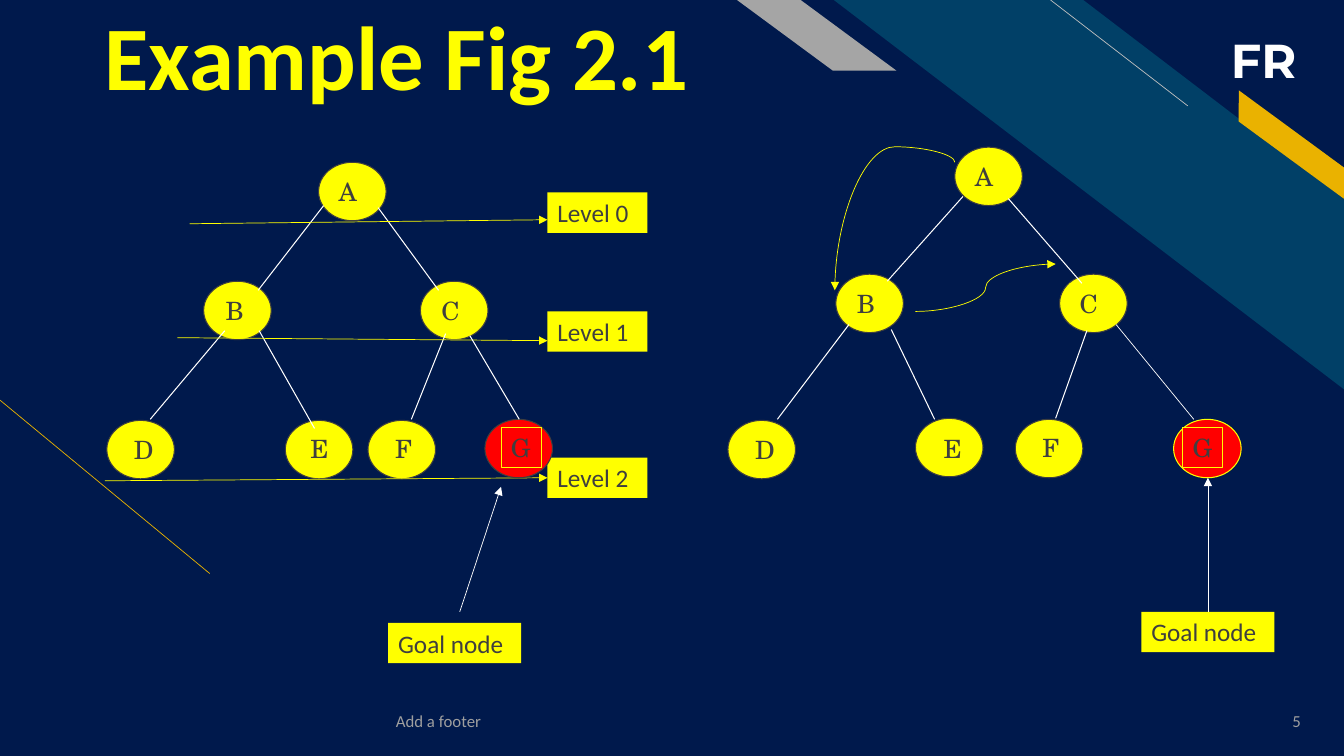
"""Build the slide comparing two search trees with their levels and goal nodes."""
from dataclasses import dataclass

from lxml import etree
from pptx import Presentation
from pptx.dml.color import RGBColor
from pptx.enum.shapes import MSO_CONNECTOR as CONN, MSO_SHAPE as SHAPE
from pptx.enum.text import MSO_ANCHOR as ANCHOR, MSO_AUTO_SIZE as AUTO, PP_ALIGN as ALIGN
from pptx.oxml.ns import qn
from pptx.util import Inches, Pt

NAVY = RGBColor(0x00, 0x19, 0x4C)
TEAL = RGBColor(0x01, 0x40, 0x67)
GOLD = RGBColor(0xEA, 0xB2, 0x00)
SILVER = RGBColor(0xA5, 0xA5, 0xA5)
PALE = RGBColor(0xBF, 0xBF, 0xBF)
MUTED = RGBColor(0x9F, 0x9F, 0x9F)
WHITE = RGBColor(0xFF, 0xFF, 0xFF)
YELLOW = RGBColor(0xFF, 0xFF, 0x00)
RED = RGBColor(0xFF, 0x00, 0x00)
INK = RGBColor(0x3F, 0x3F, 0x3F)
SERIF = "TeX Gyre Schola"
SANS = "Calibri"


@dataclass
class Node:
    letter: str
    x: float
    y: float
    label_x: float
    label_y: float
    label_w: float = 0.38


@dataclass
class Goal(Node):
    label_w: float = 0.4
    outline: RGBColor = YELLOW


@dataclass
class Line:
    x1: float
    y1: float
    x2: float
    y2: float
    color: RGBColor = WHITE
    width: float = 0.75
    arrow: bool = False


@dataclass
class Tag:
    text: str
    x: float
    y: float
    w: float


NODES = [
    Node("A", 3.16, 1.61, 3.26, 1.7), Node("B", 2.02, 2.79, 2.14, 2.88),
    Node("C", 4.17, 2.79, 4.28, 2.88), Node("E", 2.83, 4.17, 2.98, 4.25),
    Node("D", 1.06, 4.17, 1.23, 4.26, 0.4), Node("F", 3.65, 4.17, 3.82, 4.25, 0.37),
    Node("A", 9.47, 1.46, 9.57, 1.55), Node("B", 8.29, 2.72, 8.4, 2.81),
    Node("C", 10.51, 2.72, 10.61, 2.81), Node("E", 9.08, 4.15, 9.26, 4.25),
    Node("D", 7.22, 4.17, 7.39, 4.26, 0.4), Node("F", 10.07, 4.16, 10.24, 4.24, 0.37),
]
GOALS = [Goal("G", 4.81, 4.16, 4.97, 4.24, outline=INK), Goal("G", 11.64, 4.16, 11.73, 4.24)]
EDGES = [
    Line(3.21, 2.04, 2.56, 2.88), Line(2.23, 3.28, 1.49, 4.16), Line(2.57, 3.28, 3.12, 4.25),
    Line(3.75, 2.06, 4.35, 2.88), Line(4.42, 3.31, 4.08, 4.16),
    Line(9.55, 1.95, 8.8, 2.79), Line(8.42, 3.22, 7.71, 4.16), Line(8.84, 3.27, 9.27, 4.16),
    Line(10, 1.97, 10.73, 2.81), Line(10.78, 3.28, 10.47, 4.15),
]
GOAL_EDGES = [Line(4.66, 3.33, 5.15, 4.16), Line(11.07, 3.22, 11.84, 4.16, width=0.5)]
LEVELS = [
    (Line(1.88, 2.22, 5.43, 2.18, YELLOW, 0.5, True), 1.91),
    (Line(1.76, 3.35, 5.43, 3.38, YELLOW, 0.5, True), 3.09),
    (Line(1.04, 4.77, 5.43, 4.75, YELLOW, 0.5, True), 4.54),
]


def add_shape(s, kind, x: float, y: float, w: float, h: float, fill: RGBColor,
              line: RGBColor | None = None, adj: float | None = None, flip: bool = False):
    sp = s.shapes.add_shape(kind, Inches(x), Inches(y), Inches(w), Inches(h))
    sp.shadow.inherit = False
    sp.fill.solid()
    sp.fill.fore_color.rgb = fill
    if line is None:
        sp.line.fill.background()
    else:
        sp.line.color.rgb = line
        sp.line.width = Pt(0.75)
    if adj is not None:
        sp.adjustments[0] = adj
    if flip:
        sp._element.spPr.find(qn("a:xfrm")).set("flipH", "1")
    return sp


def write(sp, text: str, size: float, color: RGBColor, font: str = SANS, bold: bool = False,
          align=ALIGN.LEFT, anchor=ANCHOR.TOP, wrap: bool = True, grow: bool = False):
    tf = sp.text_frame
    tf.text = text
    tf.word_wrap = wrap
    tf.vertical_anchor = anchor
    tf.auto_size = AUTO.SHAPE_TO_FIT_TEXT if grow else AUTO.NONE
    p = tf.paragraphs[0]
    p.alignment = align
    f = p.runs[0].font
    f.size, f.name, f.bold = Pt(size), font, bold
    f.color.rgb = color
    return tf


def add_text(s, x: float, y: float, w: float, h: float, text: str, size: float,
             color: RGBColor, **style):
    box = s.shapes.add_textbox(Inches(x), Inches(y), Inches(w), Inches(h))
    return write(box, text, size, color, **style)


def add_line(s, ln: Line, kind=CONN.STRAIGHT):
    c = s.shapes.add_connector(kind, Inches(ln.x1), Inches(ln.y1), Inches(ln.x2), Inches(ln.y2))
    c.line.color.rgb = ln.color
    c.line.width = Pt(ln.width)
    if ln.arrow:
        etree.SubElement(c.line._get_or_add_ln(), qn("a:tailEnd"), type="triangle")
    etree.SubElement(c._element.spPr, qn("a:effectLst"))
    return c


def add_curve(s, ln: Line, adj: int, turn: int = 0):
    c = add_line(s, ln, CONN.CURVE)
    spPr = c._element.spPr
    guides = spPr.find(qn("a:prstGeom")).get_or_add_avLst()
    etree.SubElement(guides, qn("a:gd"), name="adj1", fmla=f"val {adj}")
    if turn:
        spPr.find(qn("a:xfrm")).set("rot", str(turn * 60000))


def add_node(s, n: Node):
    goal = isinstance(n, Goal)
    fill = RED if goal else YELLOW
    add_shape(s, SHAPE.OVAL, n.x, n.y, 0.67, 0.58, fill, n.outline if goal else INK)
    label = add_shape(s, SHAPE.RECTANGLE, n.label_x, n.label_y, n.label_w, 0.4, fill,
                      YELLOW if goal else None)
    write(label, n.letter, 18, INK, SERIF, wrap=False, grow=True)


def add_tag(s, t: Tag):
    sp = add_shape(s, SHAPE.RECTANGLE, t.x, t.y, t.w, 0.4, YELLOW)
    write(sp, t.text, 18, INK, grow=True)
    return sp


def add_backdrop(s):
    add_shape(s, SHAPE.RECTANGLE, 0, 0, 13.33, 7.5, NAVY)
    add_line(s, Line(2.08, 5.69, 0, 3.97, GOLD, 0.5))
    add_shape(s, SHAPE.DIAGONAL_STRIPE, 8.27, 0, 5.07, 3.87, TEAL, adj=0.512, flip=True)
    add_line(s, Line(11.78, 1.05, 10.42, 0, PALE, 0.5))
    band = add_shape(s, SHAPE.PARALLELOGRAM, 12.07, 1.31, 1.48, 0.25, GOLD, adj=0.72, flip=True)
    band.rotation = 36.3
    add_text(s, 12.11, 0.26, 0.89, 0.67, "FR", 34, WHITE, font="Montserrat", bold=True,
             wrap=False, grow=True)
    add_shape(s, SHAPE.PARALLELOGRAM, 7.31, 0, 1.58, 0.7, SILVER, adj=1.356, flip=True)
    tf = add_text(s, 0.94, 0.33, 6.64, 0.76, "Example Fig 2.1", 64.8, YELLOW, bold=True,
                  anchor=ANCHOR.BOTTOM)
    tf.margin_bottom = 0
    tf.paragraphs[0].line_spacing = 0.9
    for x, w, text in ((0.37, 4.5, "Add a footer"), (12.19, 0.81, "5")):
        add_text(s, x, 6.95, w, 0.4, text, 12, MUTED, align=ALIGN.RIGHT, anchor=ANCHOR.MIDDLE)


def main():
    prs = Presentation()
    prs.slide_width, prs.slide_height = Inches(13.33), Inches(7.5)
    s = prs.slides.add_slide(prs.slide_layouts[6])
    add_backdrop(s)
    for n in NODES:
        add_node(s, n)
    for ln in EDGES:
        add_line(s, ln)
    for i, (ln, y) in enumerate(LEVELS):
        arrow = add_line(s, ln)
        tag = add_tag(s, Tag(f"Level {i}", 5.43, y, 0.99))
        if abs(ln.y2 - (y + 0.2)) < 0.02:
            arrow.end_connect(tag, 1)
    for n, ln in zip(GOALS, GOAL_EDGES):
        add_node(s, n)
        add_line(s, ln)
    add_curve(s, Line(8.24, 1.65, 9.51, 2.84, YELLOW, 0.5, True), -12100, 90)
    add_tag(s, Tag("Goal node", 3.85, 6.18, 1.32))
    add_line(s, Line(4.56, 6.07, 4.97, 4.83, width=0.5, arrow=True))
    goal_tag = add_tag(s, Tag("Goal node", 11.32, 6.07, 1.32))
    pointer = add_line(s, Line(11.98, 6.07, 11.98, 4.74, width=0.5, arrow=True))
    pointer.begin_connect(goal_tag, 0)
    add_curve(s, Line(9.08, 3.09, 10.47, 2.62, YELLOW, 0.5, True), 50000)
    prs.save("out.pptx")


if __name__ == "__main__":
    main()
